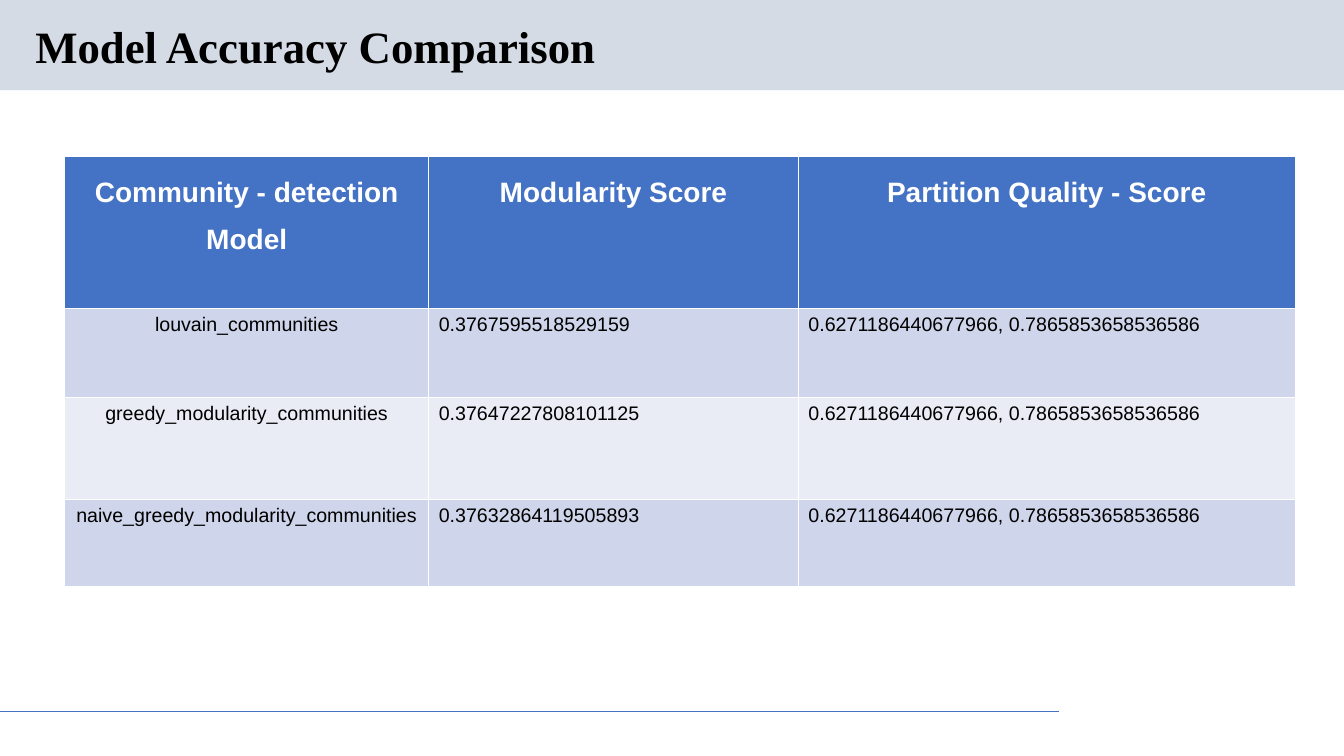
import pptx
import pptx.util
import pptx.dml.color
import pptx.enum.shapes
import pptx.enum.text
import pptx.oxml

Pt = pptx.util.Pt
RGB = pptx.dml.color.RGBColor
ALIGN = pptx.enum.text.PP_ALIGN

WHITE = RGB(0xFF, 0xFF, 0xFF)
BLACK = RGB(0x00, 0x00, 0x00)
BLUE = RGB(0x44, 0x72, 0xC4)
GREY = RGB(0xD5, 0xDB, 0xE5)
DARK = RGB(0xCF, 0xD5, 0xEA)
LIGHT = RGB(0xE9, 0xEB, 0xF5)


def style(para, color, font, layout):
    for name, value in layout.items():
        setattr(para, name, value)
    for run in para.runs:
        for name, value in font.items():
            setattr(run.font, name, value)
        run.font.color.rgb = color


deck = pptx.Presentation()
deck.slide_width, deck.slide_height = Pt(960), Pt(540)
slide = deck.slides.add_slide(deck.slide_layouts[5])
shapes = slide.shapes
title = shapes.title

# Header band and footer rule, behind the title
band = shapes.add_shape(pptx.enum.shapes.MSO_SHAPE.RECTANGLE, 0, 0, Pt(960), Pt(64.5))
band.shadow.inherit = False
band.fill.solid()
band.fill.fore_color.rgb = GREY
band.line.fill.background()

rule = shapes.add_connector(pptx.enum.shapes.MSO_CONNECTOR.STRAIGHT, 0, Pt(508), Pt(756.5), Pt(508))
rule.line.color.rgb = BLUE
rule.line.width = Pt(0.75)
rule.element.spPr.append(pptx.oxml.parse_xml(
    '<a:effectLst xmlns:a="http://schemas.openxmlformats.org/drawingml/2006/main"/>'))

for back in (band, rule):
    title.element.addprevious(back.element)

# Title
place = {"left": Pt(18), "top": Pt(13.5), "width": Pt(828), "height": Pt(42.5)}
for name, value in place.items():
    setattr(title, name, value)
frame = title.text_frame
frame.text = "Model Accuracy Comparison"
frame.word_wrap = True
frame.auto_size = pptx.enum.text.MSO_AUTO_SIZE.SHAPE_TO_FIT_TEXT
frame.vertical_anchor = pptx.enum.text.MSO_ANCHOR.MIDDLE
style(frame.paragraphs[0], BLACK,
      {"name": "Times New Roman", "size": Pt(32), "bold": True},
      {"alignment": ALIGN.LEFT, "line_spacing": 0.9})

# Score table
SCORES = [
    ("Community - detection Model", "Modularity Score", "Partition Quality - Score"),
    ("louvain_communities", "0.3767595518529159", "0.6271186440677966, 0.7865853658536586"),
    ("greedy_modularity_communities", "0.37647227808101125", "0.6271186440677966, 0.7865853658536586"),
    ("naive_greedy_modularity_communities", "0.37632864119505893", "0.6271186440677966, 0.7865853658536586"),
]
WIDTHS = [260, 264, 355]
HEIGHTS = [108.5, 64, 72.5, 62.5]
HEAD = {"name": "Arial", "size": Pt(20), "bold": True}
BODY = {"name": "Arial", "size": Pt(14), "bold": False}

table = shapes.add_table(len(HEIGHTS), len(WIDTHS), Pt(46.25), Pt(111.75),
                         Pt(sum(WIDTHS)), Pt(sum(HEIGHTS))).table
for col, width in zip(table.columns, WIDTHS):
    col.width = Pt(width)
for row, height in zip(table.rows, HEIGHTS):
    row.height = Pt(height)

for r, texts in enumerate(SCORES):
    for c, text in enumerate(texts):
        cell = table.cell(r, c)
        cell.text = text
        cell.fill.solid()
        para = cell.text_frame.paragraphs[0]
        if r == 0:
            cell.fill.fore_color.rgb = BLUE
            style(para, WHITE, HEAD, {"alignment": ALIGN.CENTER, "line_spacing": 1.5})
        else:
            cell.fill.fore_color.rgb = DARK if r % 2 else LIGHT
            style(para, BLACK, BODY, {"alignment": ALIGN.LEFT if c else ALIGN.CENTER})

deck.save("out.pptx")
